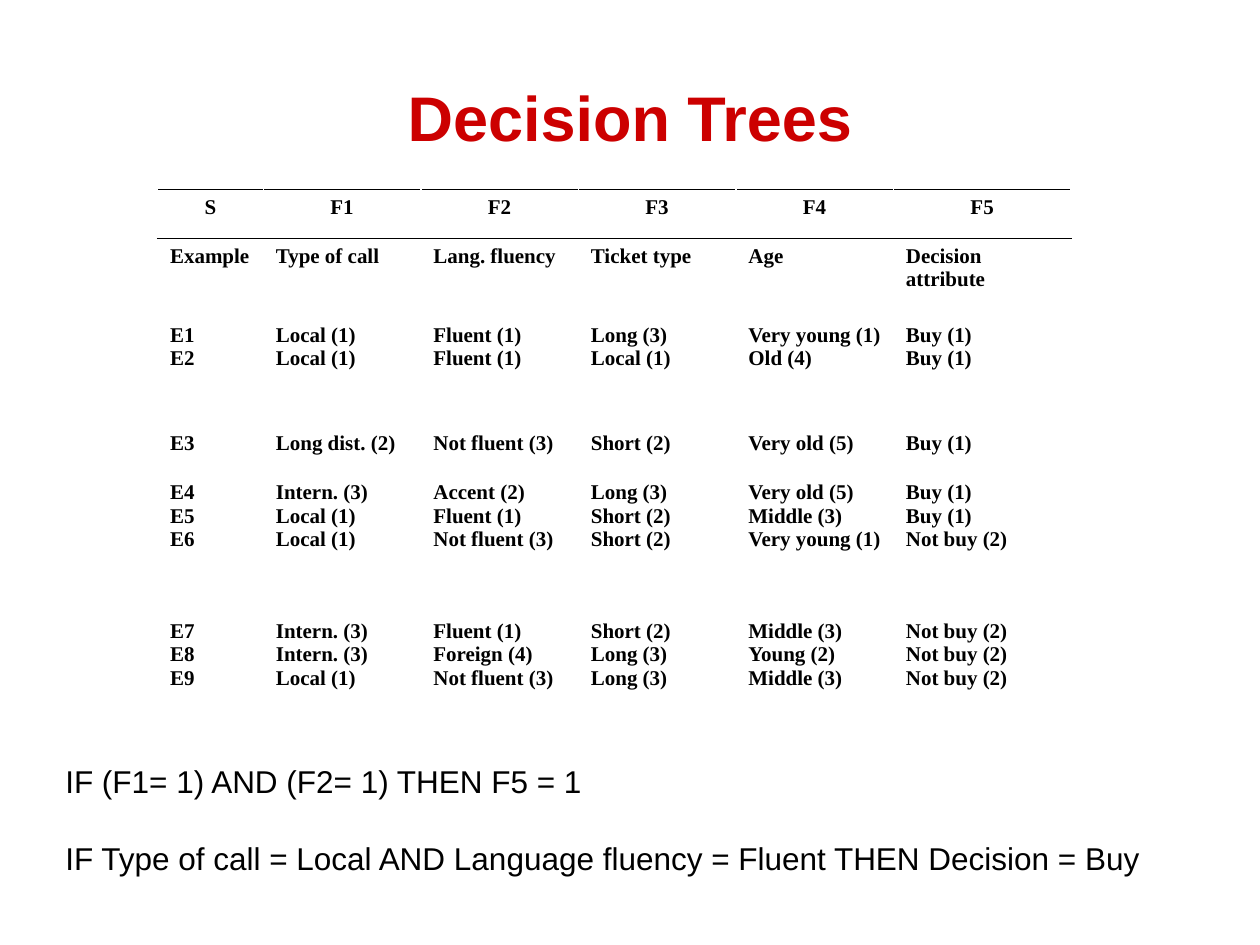
from lxml.etree import fromstring
from pptx import Presentation
from pptx.dml.color import RGBColor
from pptx.enum.text import MSO_ANCHOR, MSO_AUTO_SIZE, PP_ALIGN
from pptx.util import Inches, Pt

TITLE = "Decision Trees"
FEATURES = ("S", "F1", "F2", "F3", "F4", "F5")
LABELS = ("Example", "Type of call", "Lang. fluency", "Ticket type", "Age", "Decision attribute")
EXAMPLE_GROUPS = [
    [("E1", "Local (1)", "Fluent (1)", "Long (3)", "Very young (1)", "Buy (1)"),
     ("E2", "Local (1)", "Fluent (1)", "Local (1)", "Old (4)", "Buy (1)")],
    [("E3", "Long dist. (2)", "Not fluent (3)", "Short (2)", "Very old (5)", "Buy (1)")],
    [("E4", "Intern. (3)", "Accent (2)", "Long (3)", "Very old (5)", "Buy (1)"),
     ("E5", "Local (1)", "Fluent (1)", "Short (2)", "Middle (3)", "Buy (1)"),
     ("E6", "Local (1)", "Not fluent (3)", "Short (2)", "Very young (1)", "Not buy (2)")],
    [("E7", "Intern. (3)", "Fluent (1)", "Short (2)", "Middle (3)", "Not buy (2)"),
     ("E8", "Intern. (3)", "Foreign (4)", "Long (3)", "Young (2)", "Not buy (2)"),
     ("E9", "Local (1)", "Not fluent (3)", "Long (3)", "Middle (3)", "Not buy (2)")],
]
RULES = [
    "IF (F1= 1) AND (F2= 1) THEN F5 = 1",
    "IF Type of call = Local AND Language fluency = Fluent THEN Decision = Buy",
]
COLUMN_WIDTHS = [0.84] + [1.25] * 4 + [1.41]
ROW_HEIGHTS = [0.39, 0.63, 0.86, 0.39, 1.1, 0.87]
BLACK, RED = "000000", "CC0000"
DRAWING_NS = "http://schemas.openxmlformats.org/drawingml/2006/main"


def write(frame, lines, font_name, size, color, bold=False, align=PP_ALIGN.LEFT, gap=0):
    frame.word_wrap = True
    frame.text = "\n".join(lines)
    for index, paragraph in enumerate(frame.paragraphs):
        paragraph.alignment = align
        paragraph.space_before = Pt(gap if index else 0)
        font = paragraph.font
        font.name, font.size, font.bold = font_name, Pt(size), bold
        font.color.rgb = RGBColor.from_string(color)


def add_rule_lines(cell, sides):
    for position, side in enumerate(sides):
        cell._tc.get_or_add_tcPr().insert(position, fromstring(
            f'<a:ln{side} xmlns:a="{DRAWING_NS}" w="{int(Pt(0.45))}">'
            f'<a:solidFill><a:srgbClr val="{BLACK}"/></a:solidFill></a:ln{side}>'))


deck = Presentation()
deck.slide_width, deck.slide_height = Inches(10), Inches(7.5)
slide = deck.slides.add_slide(deck.slide_layouts[6])

title = slide.shapes.add_textbox(Inches(0.5), Inches(0.3), Inches(9), Inches(1.25)).text_frame
title.vertical_anchor = MSO_ANCHOR.MIDDLE
write(title, [TITLE], "Arial", 36, RED, bold=True, align=PP_ALIGN.CENTER)

groups = [[FEATURES], [LABELS]] + EXAMPLE_GROUPS
table = slide.shapes.add_table(
    len(groups), len(FEATURES), Inches(1.25), Inches(1.5),
    Inches(sum(COLUMN_WIDTHS)), Inches(sum(ROW_HEIGHTS))).table
table.first_row = table.horz_banding = False
for column, width in zip(table.columns, COLUMN_WIDTHS):
    column.width = Inches(width)
for row, height in zip(table.rows, ROW_HEIGHTS):
    row.height = Inches(height)

border_sides = {0: "TB", 1: "T"}
for row_index, group in enumerate(groups):
    align = PP_ALIGN.LEFT if row_index else PP_ALIGN.CENTER
    for column_index, values in enumerate(zip(*group)):
        cell = table.cell(row_index, column_index)
        cell.fill.background()
        add_rule_lines(cell, border_sides.get(row_index, ""))
        write(cell.text_frame, values, "Times New Roman", 12, BLACK, bold=True, align=align)

rules = slide.shapes.add_textbox(Inches(0.42), Inches(6), Inches(9.16), Inches(1)).text_frame
write(rules, RULES, "Arial", 18, BLACK, gap=22.5)
rules.auto_size = MSO_AUTO_SIZE.SHAPE_TO_FIT_TEXT

deck.save("out.pptx")
